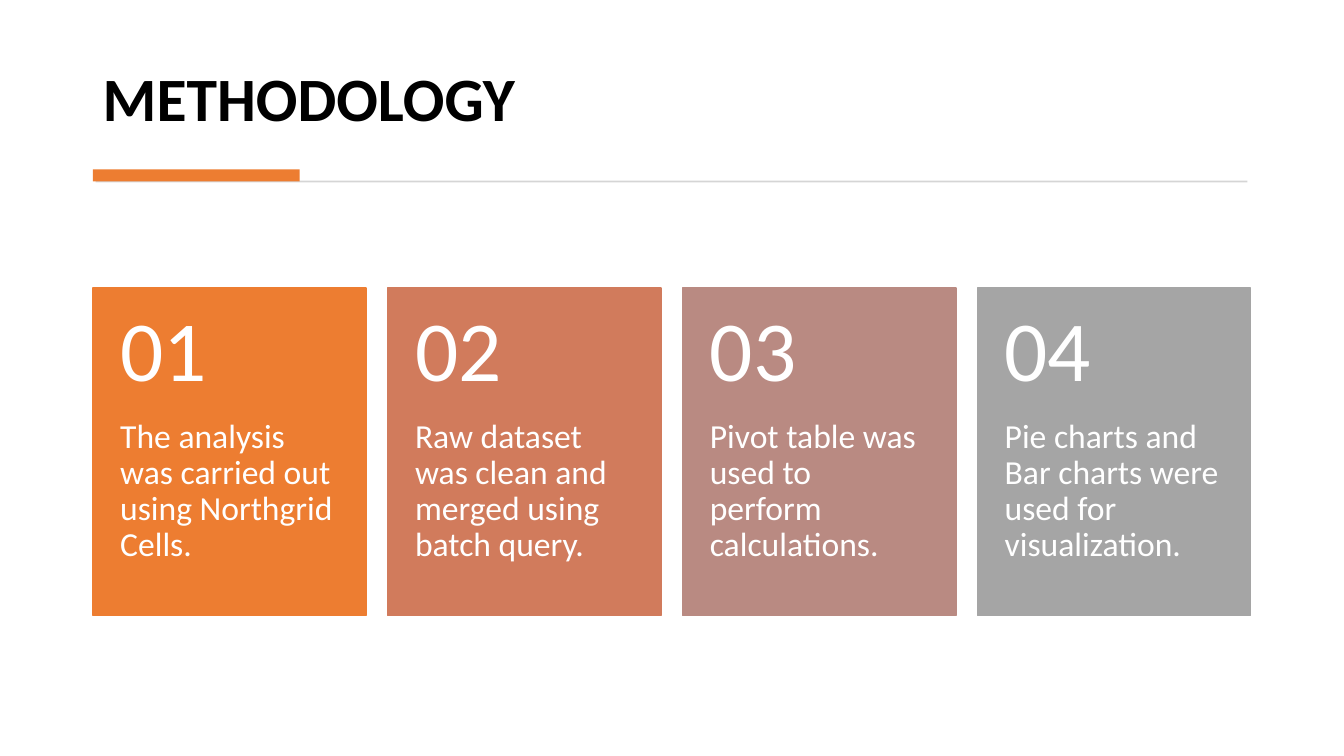
"""Build the methodology slide: a ruled title above four numbered step cards."""

from dataclasses import dataclass

from pptx import Presentation
from pptx.dml.color import RGBColor
from pptx.enum.shapes import MSO_SHAPE
from pptx.enum.text import MSO_ANCHOR, PP_ALIGN
from pptx.util import Cm, Pt

TITLE = "METHODOLOGY"
STEPS = [
    ("The analysis was carried out using Northgrid Cells.", "ED7D31"),
    ("Raw dataset was clean and merged using batch query.", "D17B5C"),
    ("Pivot table was used to perform calculations.", "B98A82"),
    ("Pie charts and Bar charts were used for visualization.", "A5A5A5"),
]


@dataclass(frozen=True)
class Theme:
    font: str = "Calibri"
    title_color: str = "000000"
    card_text: str = "FFFFFF"
    accent: str = "ED7D31"
    rule: str = "D5D5D5"
    title_size: int = 44
    number_size: int = 61
    body_size: int = 24


THEME = Theme()
LEFT = 2.34
CARD_TOP, CARD_WIDTH, CARD_GAP = 7.26, 6.89, 0.54
NUMBER_HEIGHT, BODY_HEIGHT = 3.3, 4.95


def add_block(page, left, top, width, height, color, outlined=False):
    block = page.shapes.add_shape(
        MSO_SHAPE.RECTANGLE, Cm(left), Cm(top), Cm(width), Cm(height))
    block.shadow.inherit = False
    block.fill.solid()
    block.fill.fore_color.rgb = RGBColor.from_string(color)
    if outlined:
        block.line.color.rgb = RGBColor.from_string(color)
        block.line.width = Pt(1)
    else:
        block.line.fill.background()


def add_text(page, text, left, top, width, height, size, color, anchor, margins, bold=False):
    box = page.shapes.add_textbox(Cm(left), Cm(top), Cm(width), Cm(height))
    frame = box.text_frame
    frame.word_wrap = True
    frame.vertical_anchor = anchor
    side, above, below = margins
    frame.margin_left = frame.margin_right = Cm(side)
    frame.margin_top, frame.margin_bottom = Cm(above), Cm(below)
    para = frame.paragraphs[0]
    para.text = text
    para.alignment = PP_ALIGN.LEFT
    para.line_spacing = 0.9
    para.font.name = THEME.font
    para.font.size = Pt(size)
    para.font.bold = bold
    para.font.color.rgb = RGBColor.from_string(color)


def add_step(page, index, text, color):
    left = LEFT + index * (CARD_WIDTH + CARD_GAP)
    add_block(page, left, CARD_TOP, CARD_WIDTH, NUMBER_HEIGHT + BODY_HEIGHT, color, True)
    add_text(page, text, left, CARD_TOP + NUMBER_HEIGHT, CARD_WIDTH, BODY_HEIGHT,
             THEME.body_size, THEME.card_text, MSO_ANCHOR.TOP, (0.69, 0, 0.91))
    add_text(page, f"{index + 1:02d}", left, CARD_TOP, CARD_WIDTH, NUMBER_HEIGHT,
             THEME.number_size, THEME.card_text, MSO_ANCHOR.MIDDLE, (0.69, 0.46, 0.46))


def main():
    deck = Presentation()
    deck.slide_width, deck.slide_height = Cm(33.87), Cm(19.05)
    page = deck.slides.add_slide(deck.slide_layouts[6])
    add_text(page, TITLE, LEFT, 0.71, 29.18, 2.82, THEME.title_size,
             THEME.title_color, MSO_ANCHOR.BOTTOM, (0.25, 0.13, 0.13), bold=True)
    add_block(page, 2.41, 4.55, 29.03, 0.05, THEME.rule)
    add_block(page, LEFT, 4.27, 5.21, 0.3, THEME.accent)
    for index, (text, color) in enumerate(STEPS):
        add_step(page, index, text, color)
    deck.save("out.pptx")


if __name__ == "__main__":
    main()
